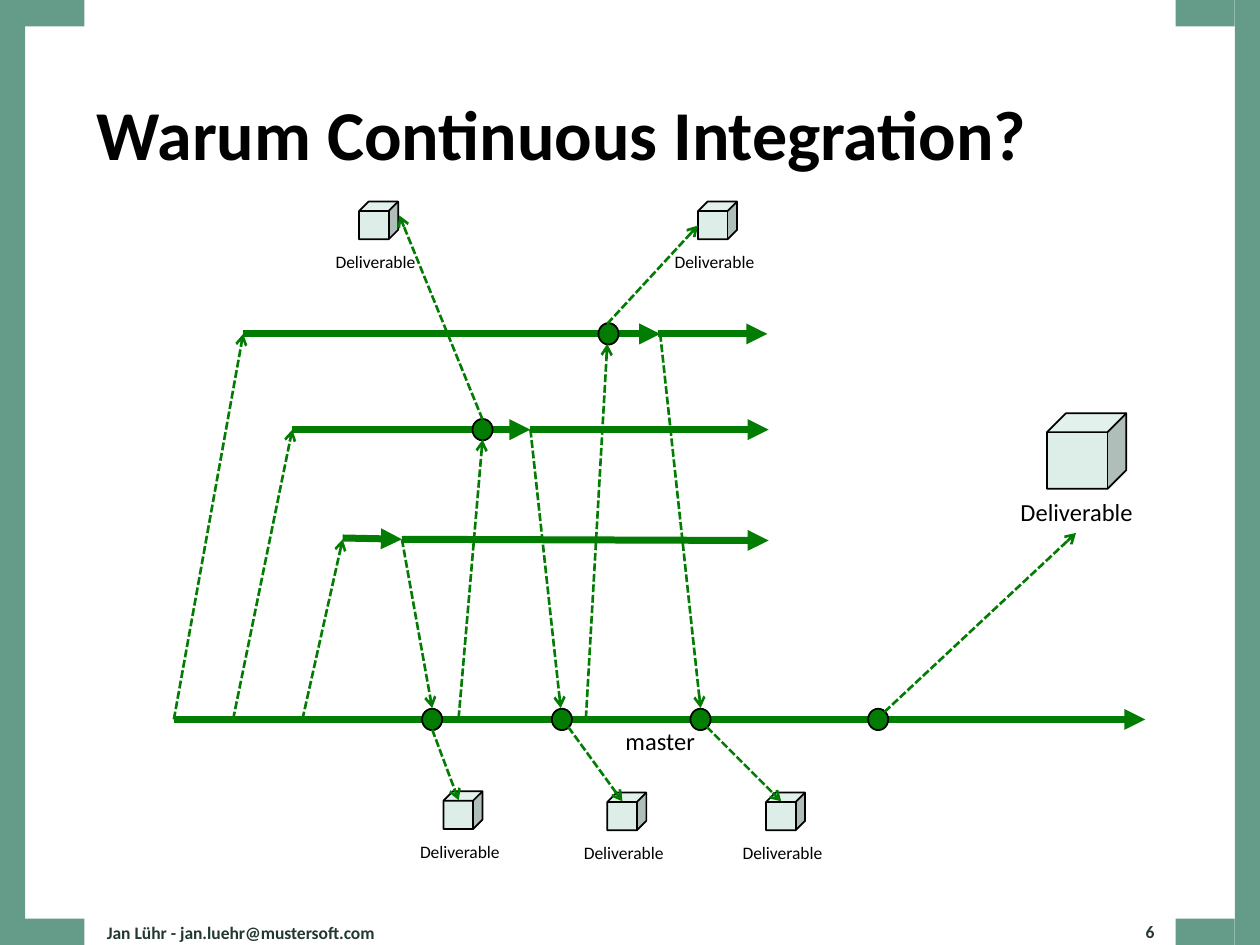
"""Build the slide on branches, merges and deliverables in continuous integration."""
from lxml.etree import SubElement
from pptx import Presentation
from pptx.dml.color import RGBColor
from pptx.enum.dml import MSO_LINE_DASH_STYLE as Dash
from pptx.enum.shapes import MSO_CONNECTOR as Connector, MSO_SHAPE as Shape
from pptx.enum.text import MSO_ANCHOR as Anchor, PP_ALIGN as Align
from pptx.oxml.ns import qn
from pptx.util import Inches, Pt

FRAME = RGBColor(0x65, 0x9C, 0x89)
BRANCH = RGBColor(0x03, 0x7C, 0x03)
CUBE = RGBColor(0xDD, 0xEE, 0xE8)
FOOTER = RGBColor(0x23, 0x38, 0x33)
BLACK = RGBColor(0, 0, 0)
FONT = "Calibri"

WIDTH, HEIGHT = 10, 7.5
EDGE, CORNER_W, CORNER_H = 0.2, 0.47, 0.21
DOT_W, DOT_H = 0.16, 0.17
MASTER, LOW, MIDDLE, HIGH = 5.71, 4.28, 3.41, 2.65

TITLE = "Warum Continuous Integration?"
AUTHOR = "Jan Lühr - jan.luehr@mustersoft.com"
PAGE = "6"

BRANCHES = [
    ((1.38, MASTER), (9.09, MASTER)),
    ((1.93, HIGH), (5.24, HIGH)),
    ((5.22, HIGH), (6.09, HIGH)),
    ((2.32, MIDDLE), (4.21, MIDDLE)),
    ((4.21, MIDDLE), (6.1, MIDDLE)),
    ((2.72, 4.27), (3.19, LOW)),
    ((3.19, LOW), (6.1, 4.29)),
]
COMMITS = [
    (3.43, MASTER), (4.46, MASTER), (5.56, MASTER), (6.97, MASTER),
    (3.83, MIDDLE), (4.83, HIGH),
]
FLOWS = [
    ((1.38, MASTER), (1.93, HIGH)),
    ((1.85, MASTER), (2.32, MIDDLE)),
    ((2.4, MASTER), (2.72, LOW)),
    ((3.19, LOW), (3.43, 5.62)),
    ((4.21, MIDDLE), (4.45, 5.62)),
    ((5.24, HIGH), (5.56, 5.62)),
    ((3.64, 5.7), (3.83, 3.49)),
    ((4.65, 5.7), (4.82, 2.73)),
    ((3.43, 5.79), (3.64, 6.35)),
    ((4.51, 5.77), (4.94, 6.36)),
    ((5.61, 5.77), (6.2, 6.36)),
    ((3.83, 3.33), (3.17, 1.71)),
    ((4.82, 2.57), (5.54, 1.79)),
    ((7.02, 5.65), (8.54, 4.23)),
]
SMALL = {"cube": (0.31, 0.3), "label": (-0.29, 0.34, 0.84, 0.27), "size": 10}
LARGE = {"cube": (0.63, 0.6), "label": (-0.55, 0.61, 1.57, 0.34), "size": 14}
DELIVERABLES = [
    (2.85, 1.6, SMALL), (5.54, 1.6, SMALL), (8.31, 3.28, LARGE),
    (3.52, 6.28, SMALL), (4.82, 6.29, SMALL), (6.08, 6.29, SMALL),
]


def add_solid(slide, kind, box, fill, outline=None):
    solid = slide.shapes.add_shape(kind, *map(Inches, box))
    solid.shadow.inherit = False
    solid.fill.solid()
    solid.fill.fore_color.rgb = fill
    if outline is None:
        solid.line.fill.background()
    else:
        solid.line.color.rgb = outline
        solid.line.width = Pt(1)


def add_text(slide, box, text, size, color=BLACK, bold=False,
             align=Align.LEFT, anchor=Anchor.MIDDLE):
    frame = slide.shapes.add_textbox(*map(Inches, box)).text_frame
    frame.word_wrap = True
    frame.vertical_anchor = anchor
    paragraph = frame.paragraphs[0]
    paragraph.text = text
    paragraph.alignment = align
    font = paragraph.font
    font.name, font.size, font.bold = FONT, Pt(size), bold
    font.color.rgb = color


def add_arrow(slide, start, end, width, head, dash=None):
    arrow = slide.shapes.add_connector(
        Connector.STRAIGHT, *map(Inches, start + end))
    arrow.line.color.rgb = BRANCH
    arrow.line.width = Pt(width)
    if dash is not None:
        arrow.line.dash_style = dash
    properties = arrow.element.spPr
    SubElement(properties.find(qn("a:ln")), qn("a:tailEnd"), type=head)
    SubElement(properties, qn("a:effectLst"))


def add_frame(slide):
    for edge_x, corner_x in ((0, EDGE),
                             (WIDTH - EDGE, WIDTH - EDGE - CORNER_W)):
        add_solid(slide, Shape.RECTANGLE, (edge_x, 0, EDGE, HEIGHT), FRAME)
        for corner_y in (0, HEIGHT - CORNER_H):
            add_solid(slide, Shape.RECTANGLE,
                      (corner_x, corner_y, CORNER_W, CORNER_H), FRAME)


def add_deliverable(slide, x, y, style):
    add_solid(slide, Shape.CUBE, (x, y, *style["cube"]), CUBE, BLACK)
    dx, dy, width, height = style["label"]
    add_text(slide, (x + dx, y + dy, width, height), "Deliverable",
             style["size"], align=Align.CENTER)


def main():
    deck = Presentation()
    deck.slide_width, deck.slide_height = Inches(WIDTH), Inches(HEIGHT)
    slide = deck.slides.add_slide(deck.slide_layouts[6])

    add_frame(slide)
    add_text(slide, (0.67, 0.67, 8.66, 1.58), TITLE, 40, bold=True,
             anchor=Anchor.TOP)
    add_text(slide, (0.75, 7.29, 6.38, 0.22), AUTHOR, 10, FOOTER, True)
    add_text(slide, (7.17, 7.29, 2.09, 0.21), PAGE, 10, FOOTER, True,
             Align.RIGHT)

    for start, end in BRANCHES:
        add_arrow(slide, start, end, 4, "triangle")
    add_text(slide, (1.38, MASTER, 7.72, 0.34), "master", 14,
             align=Align.CENTER)
    for x, y in COMMITS:
        add_solid(slide, Shape.OVAL,
                  (x - DOT_W / 2, y - DOT_H / 2, DOT_W, DOT_H), BRANCH, BLACK)
    for x, y, style in DELIVERABLES:
        add_deliverable(slide, x, y, style)
    for start, end in FLOWS:
        add_arrow(slide, start, end, 1.5, "arrow", Dash.SQUARE_DOT)

    deck.save("out.pptx")


if __name__ == "__main__":
    main()
